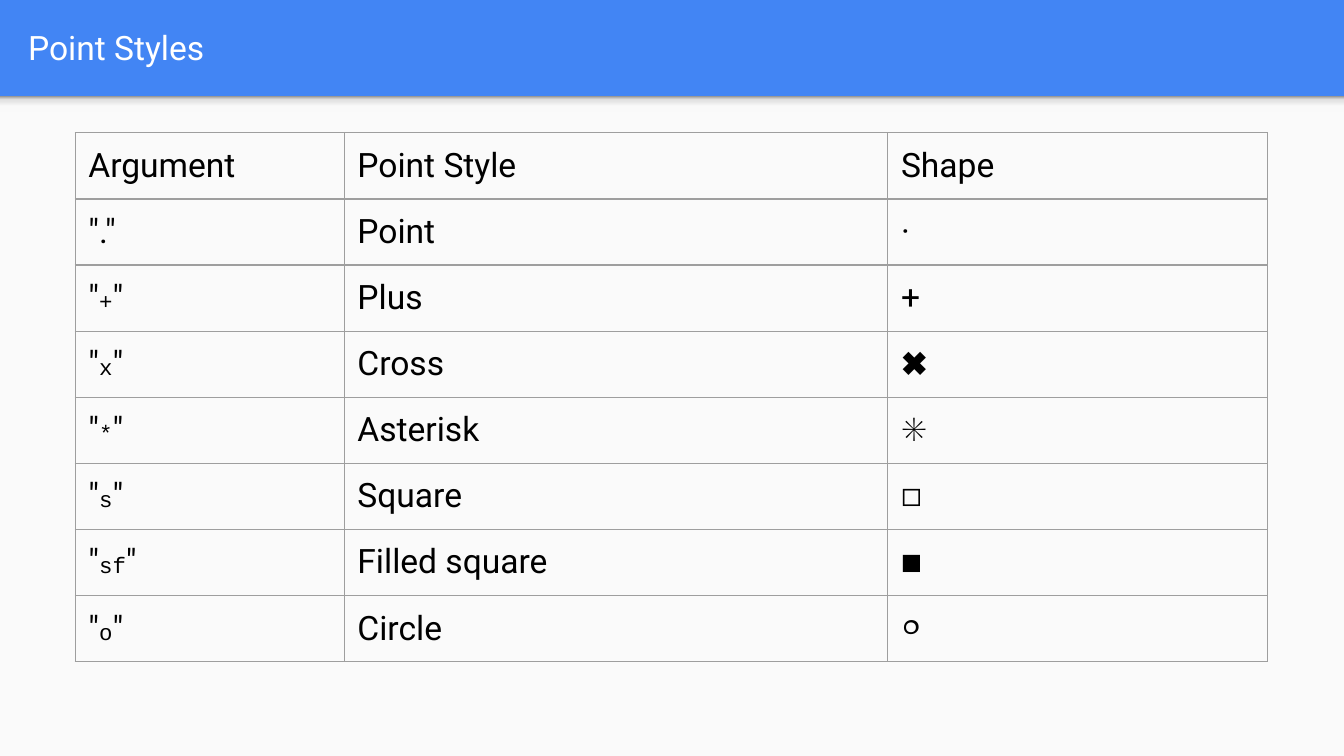
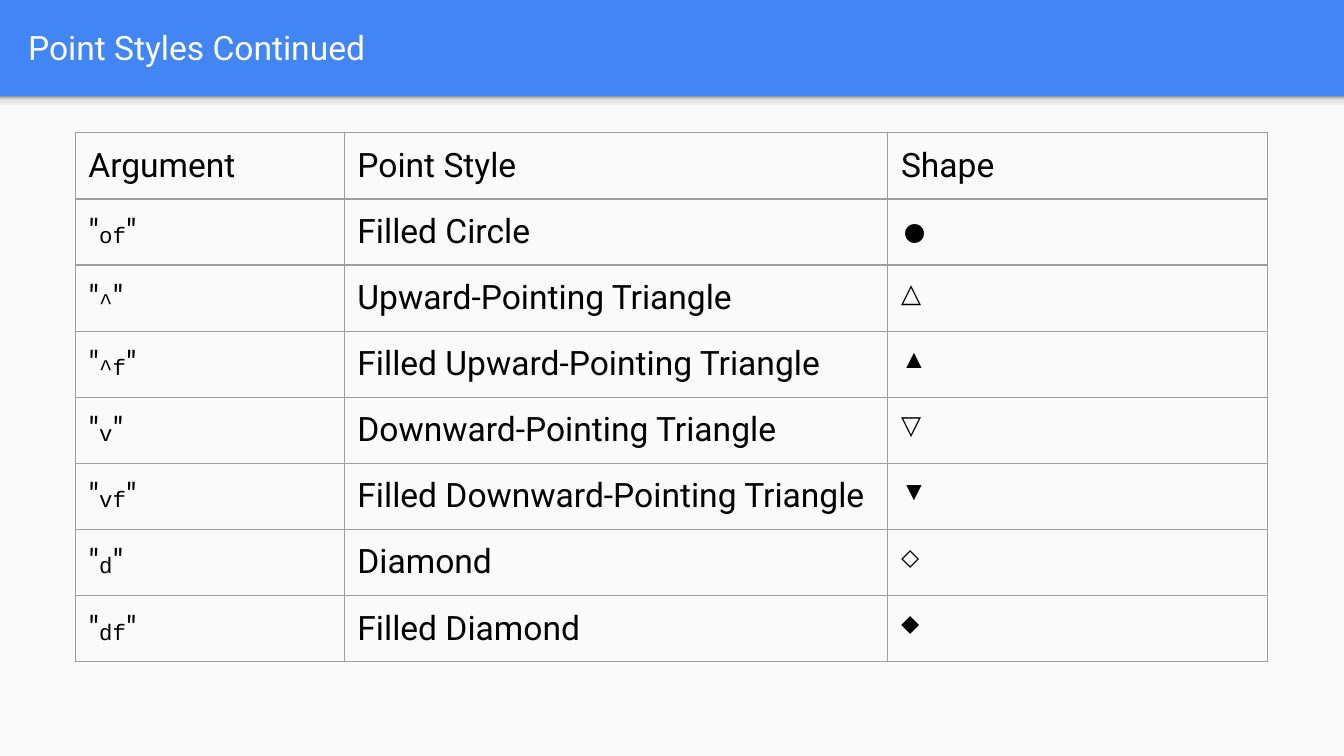
from lxml import etree
from pptx import Presentation
from pptx.dml.color import RGBColor
from pptx.enum.shapes import MSO_SHAPE
from pptx.enum.text import MSO_ANCHOR, MSO_AUTO_SIZE, PP_ALIGN
from pptx.oxml.ns import qn
from pptx.util import Cm, Pt

RECTANGLE = MSO_SHAPE.RECTANGLE
MIDDLE = MSO_ANCHOR.MIDDLE
NO_AUTOFIT = MSO_AUTO_SIZE.NONE
LEFT = PP_ALIGN.LEFT

BLUE, PAPER, WHITE, BLACK, GREY = "4285F4", "FAFAFA", "FFFFFF", "000000", "9E9E9E"
SHADOW_STOPS = [(0, "F9F9F9"), (36, "F9F9F9"), (80, "DEDEDE"), (100, "999999")]

SLIDE_WIDTH, SLIDE_HEIGHT, BAND_HEIGHT = 25.4, 14.29, 1.82
TITLE_BOX = (0.28, 0.05, 24.51, 1.68)
TABLE_BOX = (1.42, 2.51, 22.53, 10)
PANEL_BOX = (0, BAND_HEIGHT, SLIDE_WIDTH, SLIDE_HEIGHT - BAND_HEIGHT)
SHADOW_BOX = (0, BAND_HEIGHT, SLIDE_WIDTH, 0.3)
COLUMN_SHARES = (2, 4.04, 2.82)
PADDING = 0.25

BODY_STYLE = {"name": "Roboto", "size": Pt(18)}
CODE_STYLE = {"name": "Courier New", "size": Pt(12)}
SYMBOL_STYLE = {"name": "Arial", "size": Pt(14)}
SMALL_SYMBOLS = "△▲▽▼⬦⬥"
MARGINS = {
    f"margin_{side}": Cm(PADDING) for side in ("left", "right", "top", "bottom")
}

HEADER = ("Argument", "Point Style", "Shape")
SLIDES = {
    "Point Styles": [
        (".", "Point", "·"),
        ("+", "Plus", "+"),
        ("x", "Cross", "✖"),
        ("*", "Asterisk", "✳"),
        ("s", "Square", "◻"),
        ("sf", "Filled square", "◼"),
        ("o", "Circle", "𐩒"),
    ],
    "Point Styles Continued": [
        ("of", "Filled Circle", "⏺"),
        ("^", "Upward-Pointing Triangle", "△"),
        ("^f", "Filled Upward-Pointing Triangle", "▲"),
        ("v", "Downward-Pointing Triangle", "▽"),
        ("vf", "Filled Downward-Pointing Triangle", "▼"),
        ("d", "Diamond", "⬦"),
        ("df", "Filled Diamond", "⬥"),
    ],
}


def rgb(value):
    """Turn a hex string into a colour."""
    return RGBColor.from_string(value)


def set_attributes(target, values):
    """Set each named attribute of the target."""
    for name, value in values.items():
        setattr(target, name, value)


def place(shape, box):
    """Move a shape to a box given in centimetres."""
    names = ("left", "top", "width", "height")
    set_attributes(shape, {name: Cm(length) for name, length in zip(names, box)})


def add_run(paragraph, text, style, color=BLACK):
    """Add a run whose font also covers symbols and other scripts."""
    run = paragraph.add_run()
    run.text = text
    set_attributes(run.font, style)
    run.font.color.rgb = rgb(color)
    properties = run.font.color.rgb and run._r.get_or_add_rPr()
    for tag in ("a:ea", "a:cs", "a:sym"):
        if tag != "a:sym":
            etree.SubElement(properties, qn(tag), typeface=style["name"])
    return run


def add_rectangle(slide, box):
    """Add a plain rectangle without line or shadow."""
    shape = slide.shapes.add_shape(RECTANGLE, *map(Cm, box))
    shape.shadow.inherit = False
    shape.line.fill.background()
    return shape


def fill_gradient(shape, stops):
    """Fill a shape with an upward gradient."""
    shape.fill.gradient()
    shape.fill.gradient_angle = 90
    stop_list = shape.element.spPr.find(".//" + qn("a:gsLst"))
    stop_list.clear()
    for percent, color in stops:
        stop = etree.SubElement(stop_list, qn("a:gs"), pos=str(percent * 1000))
        etree.SubElement(stop, qn("a:srgbClr"), val=color)


def dress_layout(layout, slide):
    """Give the layout its blue band, pale panel, shadow and title place."""
    background = layout.background.fill
    background.solid()
    background.fore_color.rgb = rgb(BLUE)
    panel = add_rectangle(slide, PANEL_BOX)
    panel.fill.solid()
    panel.fill.fore_color.rgb = rgb(PAPER)
    shadow = add_rectangle(slide, SHADOW_BOX)
    fill_gradient(shadow, SHADOW_STOPS)
    for index, shape in enumerate((panel, shadow)):
        shape.element.nvSpPr.cNvPr.set("id", str(20 + index))
        layout.shapes.element.insert(2 + index, shape.element)
    place(layout.placeholders[0], TITLE_BOX)


def write_title(title, text):
    """Write the slide title in white on the band."""
    place(title, TITLE_BOX)
    frame = title.text_frame
    set_attributes(frame, MARGINS)
    set_attributes(
        frame,
        {"vertical_anchor": MIDDLE, "word_wrap": True, "auto_size": NO_AUTOFIT},
    )
    frame.paragraphs[0].alignment = LEFT
    add_run(frame.paragraphs[0], text, BODY_STYLE, WHITE)


def frame_cell(cell):
    """Set the padding, empty fill and grey borders of a cell."""
    set_attributes(cell, MARGINS)
    cell.fill.background()
    properties = cell._tc.get_or_add_tcPr()
    for index, side in enumerate("LRTB"):
        line = etree.Element(qn(f"a:ln{side}"), w=str(Pt(0.75)))
        fill = etree.SubElement(line, qn("a:solidFill"))
        etree.SubElement(fill, qn("a:srgbClr"), val=GREY)
        properties.insert(index, line)


def argument_runs(argument):
    """Return the styled parts of a quoted argument."""
    if argument == ".":
        return [('"."', BODY_STYLE)]
    return [('"', BODY_STYLE), (argument, CODE_STYLE), ('"', BODY_STYLE)]


def style_row(argument, name, symbol):
    """Return the styled parts of the three cells of a row."""
    symbol_style = SYMBOL_STYLE if symbol in SMALL_SYMBOLS else BODY_STYLE
    return [argument_runs(argument), [(name, BODY_STYLE)], [(symbol, symbol_style)]]


def add_style_table(slide, box, rows):
    """Add the table of point styles in the box."""
    content = [[[(text, BODY_STYLE)] for text in HEADER]]
    content += [style_row(*row) for row in rows]
    table = slide.shapes.add_table(len(content), len(HEADER), *map(Cm, box)).table
    set_attributes(table, {"first_row": False, "horz_banding": False})
    for column, share in zip(table.columns, COLUMN_SHARES):
        column.width = Cm(box[2] * share / sum(COLUMN_SHARES))
    for table_row, cells in zip(table.rows, content):
        table_row.height = Cm(box[3] / len(content))
        for cell, runs in zip(table_row.cells, cells):
            frame_cell(cell)
            for text, style in runs:
                add_run(cell.text_frame.paragraphs[0], text, style)


def main():
    """Build and save the presentation."""
    presentation = Presentation()
    presentation.slide_width = Cm(SLIDE_WIDTH)
    presentation.slide_height = Cm(SLIDE_HEIGHT)
    layout = presentation.slide_layouts[5]
    for index, (title, rows) in enumerate(SLIDES.items()):
        slide = presentation.slides.add_slide(layout)
        if index == 0:
            dress_layout(layout, slide)
        write_title(slide.shapes.title, title)
        add_style_table(slide, TABLE_BOX, rows)
    presentation.save("out.pptx")


if __name__ == "__main__":
    main()
